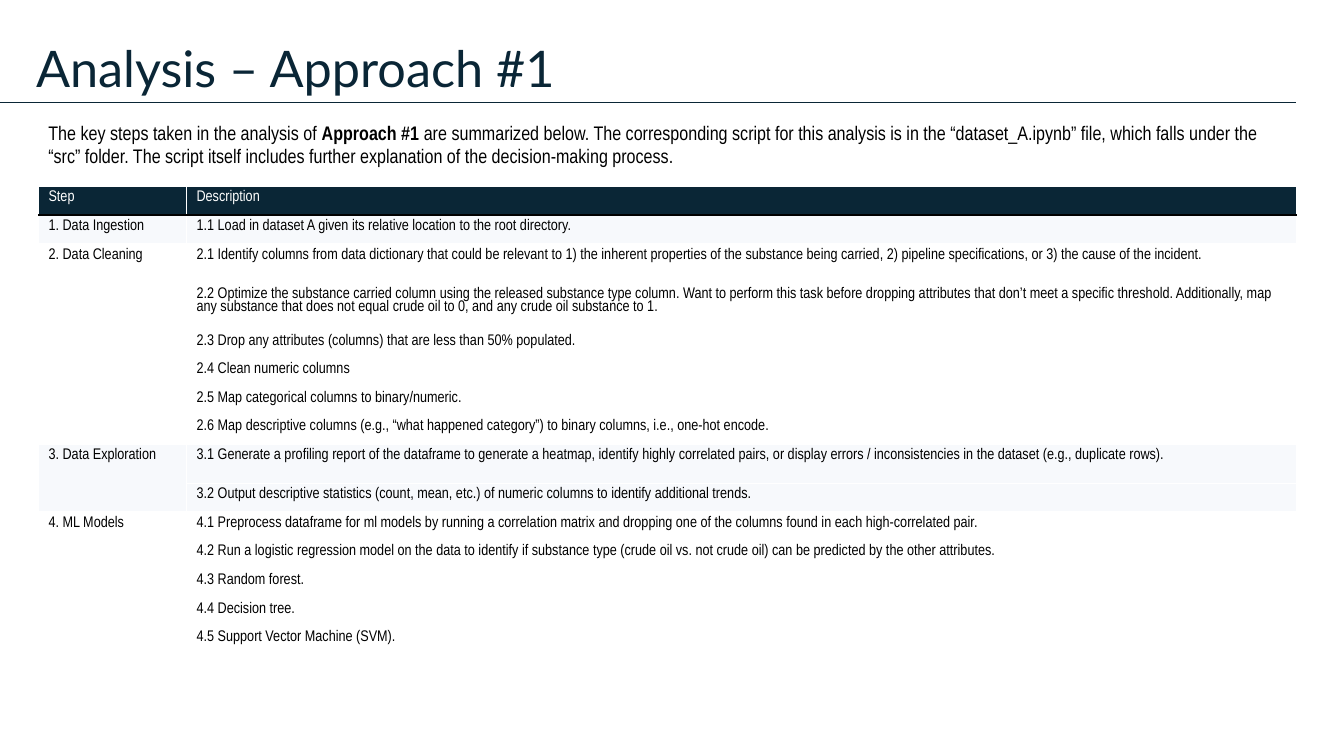
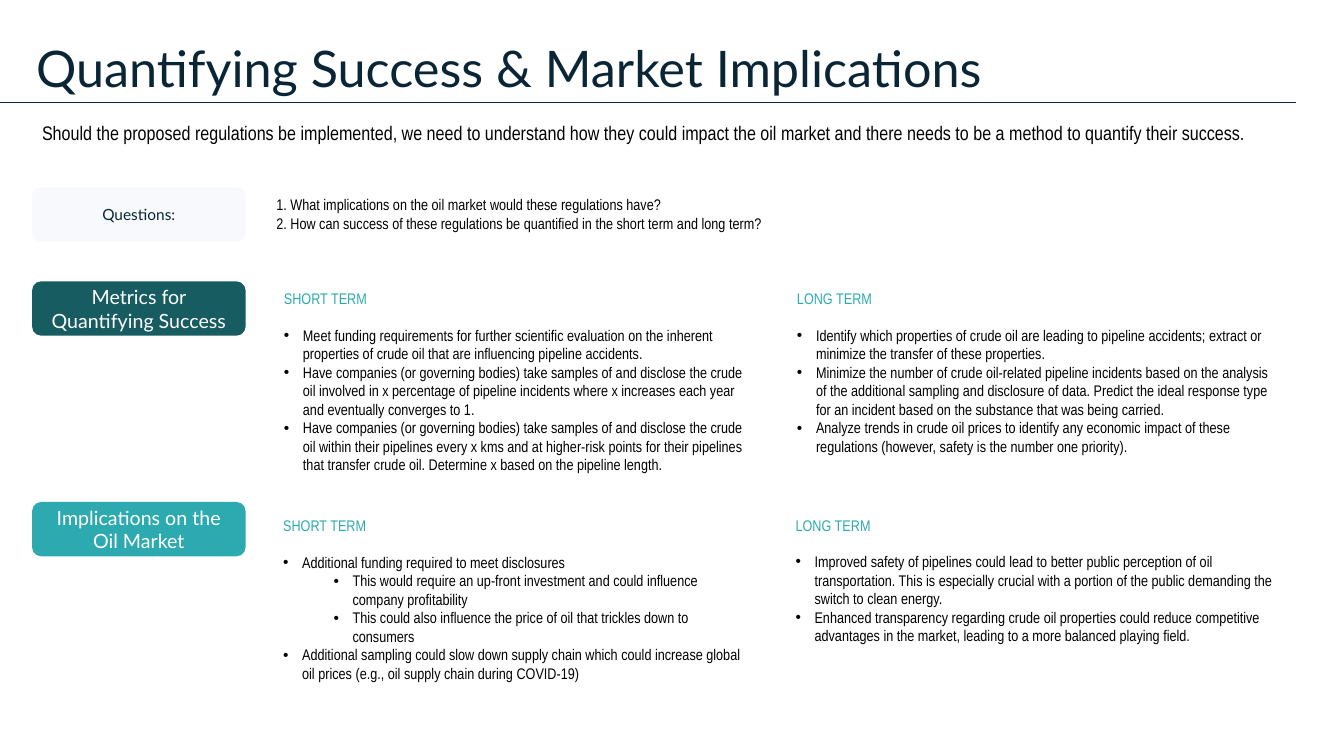
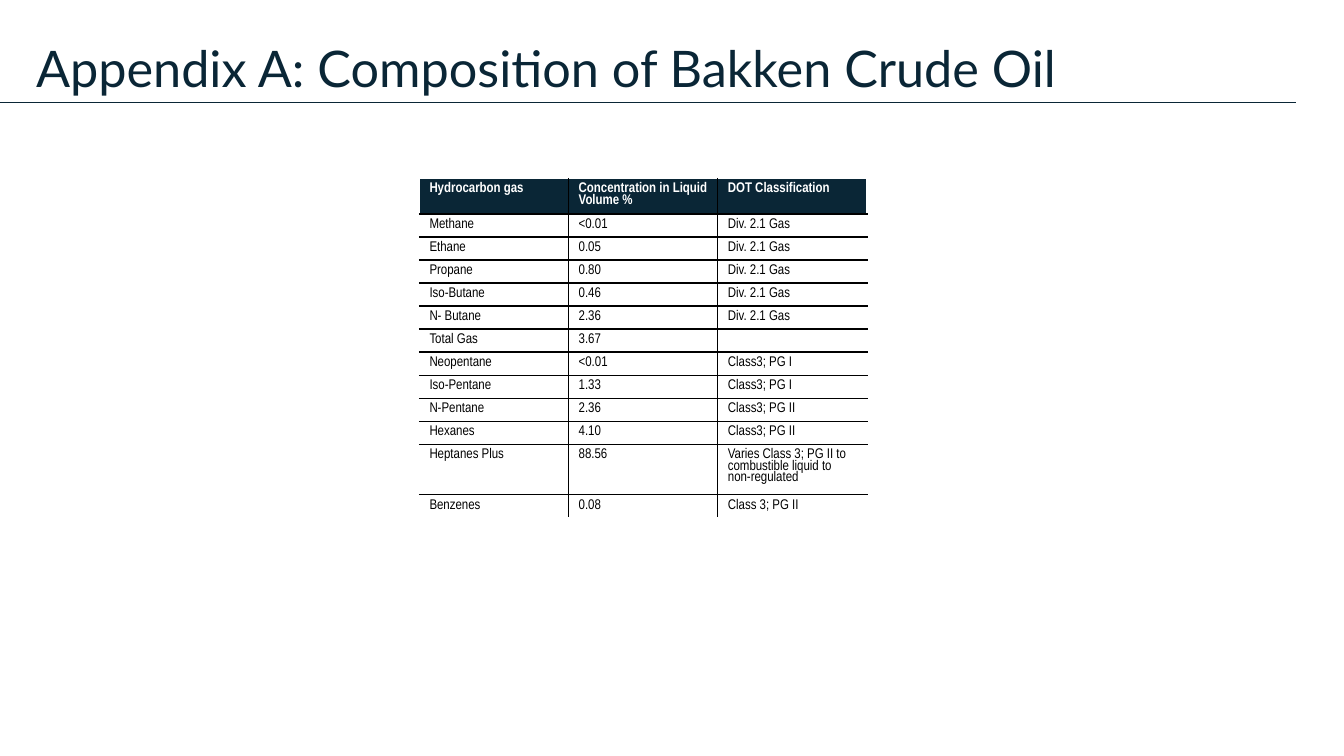
"""Build three slides on crude oil pipeline analysis."""
from dataclasses import dataclass

from lxml.etree import SubElement
from pptx import Presentation
from pptx.dml.color import RGBColor
from pptx.enum.shapes import MSO_CONNECTOR, MSO_SHAPE
from pptx.enum.text import MSO_ANCHOR, PP_ALIGN
from pptx.oxml.ns import qn
from pptx.slide import Slide
from pptx.table import Table, _Cell
from pptx.text.text import TextFrame, _Paragraph
from pptx.util import Cm, Pt

HUES = {
    "navy": "0A2636",
    "pine": "175C61",
    "teal": "2DAAAF",
    "mist": "F7F9FC",
    "black": "000000",
    "white": "FFFFFF",
}
LATO = "Lato"
BODY = "Arial Narrow"
SPACE = 0.9


@dataclass
class Style:
    """Look of a piece of text."""
    size: float = 11
    hue: str = "black"
    font: str = BODY
    bold: bool = False


@dataclass
class Para:
    """One paragraph; level 0 is plain, 1 and 2 are bullets."""
    text: str
    style: Style
    level: int = 0
    gap: float = 0


@dataclass
class Box:
    """Place and size in centimetres."""
    left: float
    top: float
    width: float
    height: float


@dataclass
class Tag:
    """Filled label at the left edge."""
    text: str
    top: float
    fill: str
    style: Style


@dataclass
class Panel:
    """Headed list of bullets."""
    head: str
    box: Box
    items: list[tuple[int, str]]


@dataclass
class Grid:
    """Table with a dark head row."""
    left: float
    top: float
    cols: list[float]
    tall: list[float]
    rows: list[tuple[str, ...]]
    size: float
    rule: str
    bold: bool = False
    shade: tuple[int, ...] = ()


PLAIN = Style()
INTRO = Style(14)
TITLE = Style(36, "navy", LATO)
LABEL = Style(14, "white", LATO)

STEPS = [
    ("Step", "Description"),
    ("1. Data Ingestion", "1.1 Load in dataset A given its relative location to the root directory."),
    ("2. Data Cleaning", "2.1 Identify columns from data dictionary that could be relevant to 1) the inherent "
     "properties of the substance being carried, 2) pipeline specifications, or 3) the cause of the incident."),
    ("", "2.2 Optimize the substance carried column using the released substance type column. Want to perform "
     "this task before dropping attributes that don’t meet a specific threshold. Additionally, map any substance "
     "that does not equal crude oil to 0, and any crude oil substance to 1."),
    ("", "2.3 Drop any attributes (columns) that are less than 50% populated."),
    ("", "2.4 Clean numeric columns"),
    ("", "2.5 Map categorical columns to binary/numeric."),
    ("", "2.6 Map descriptive columns (e.g., “what happened category”) to binary columns, i.e., one-hot encode."),
    ("3. Data Exploration", "3.1 Generate a profiling report of the dataframe to generate a heatmap, identify "
     "highly correlated pairs, or display errors / inconsistencies in the dataset (e.g., duplicate rows)."),
    ("", "3.2 Output descriptive statistics (count, mean, etc.) of numeric columns to identify additional trends."),
    ("4. ML Models", "4.1 Preprocess dataframe for ml models by running a correlation matrix and dropping one of "
     "the columns found in each high-correlated pair."),
    ("", "4.2 Run a logistic regression model on the data to identify if substance type (crude oil vs. not crude "
     "oil) can be predicted by the other attributes."),
    ("", "4.3 Random forest."),
    ("", "4.4 Decision tree."),
    ("", "4.5 Support Vector Machine (SVM)."),
]

GASES = [
    ("Hydrocarbon gas", "Concentration in Liquid Volume %", "DOT Classification"),
    ("Methane", "<0.01", "Div. 2.1 Gas"),
    ("Ethane", "0.05", "Div. 2.1 Gas"),
    ("Propane", "0.80", "Div. 2.1 Gas"),
    ("Iso-Butane", "0.46", "Div. 2.1 Gas"),
    ("N- Butane", "2.36", "Div. 2.1 Gas"),
    ("Total Gas", "3.67", ""),
    ("Neopentane", "<0.01", "Class3; PG I"),
    ("Iso-Pentane", "1.33", "Class3; PG I"),
    ("N-Pentane", "2.36", "Class3; PG II"),
    ("Hexanes", "4.10", "Class3; PG II"),
    ("Heptanes Plus", "88.56", "Varies Class 3; PG II to combustible liquid to non-regulated"),
    ("Benzenes", "0.08", "Class 3; PG II"),
]

TAGS = [
    Tag("Questions:", 4.72, "mist", Style(11, "navy", LATO)),
    Tag("Metrics for Quantifying Success", 7.09, "pine", LABEL),
    Tag("Implications on the Oil Market", 12.65, "teal", LABEL),
]

PANELS = [
    Panel("SHORT TERM", Box(6.65, 6.91, 12.8, 5.26), [
        (1, "Meet funding requirements for further scientific evaluation on the inherent properties of crude oil "
            "that are influencing pipeline accidents."),
        (1, "Have companies (or governing bodies) take samples of and disclose the crude oil involved in x "
            "percentage of pipeline incidents where x increases each year and eventually converges to 1."),
        (1, "Have companies (or governing bodies) take samples of and disclose the crude oil within their "
            "pipelines every x kms and at higher-risk points for their pipelines that transfer crude oil. "
            "Determine x based on the pipeline length."),
    ]),
    Panel("LONG TERM", Box(19.58, 6.91, 13.03, 5.26), [
        (1, "Identify which properties of crude oil are leading to pipeline accidents; extract or minimize the "
            "transfer of these properties."),
        (1, "Minimize the number of crude oil-related pipeline incidents based on the analysis of the additional "
            "sampling and disclosure of data. Predict the ideal response type for an incident based on the "
            "substance that was being carried."),
        (1, "Analyze trends in crude oil prices to identify any economic impact of these regulations (however, "
            "safety is the number one priority)."),
    ]),
    Panel("SHORT TERM", Box(6.65, 12.65, 12.8, 4.85), [
        (1, "Additional funding required to meet disclosures"),
        (2, "This would require an up-front investment and could influence company profitability"),
        (2, "This could also influence the price of oil that trickles down to consumers"),
        (1, "Additional sampling could slow down supply chain which could increase global oil prices (e.g., oil "
            "supply chain during COVID-19)"),
    ]),
    Panel("LONG TERM", Box(19.58, 12.65, 13.03, 4.5), [
        (1, "Improved safety of pipelines could lead to better public perception of oil transportation. This is "
            "especially crucial with a portion of the public demanding the switch to clean energy."),
        (1, "Enhanced transparency regarding crude oil properties could reduce competitive advantages in the "
            "market, leading to a more balanced playing field."),
    ]),
]


def tint(name: str) -> RGBColor:
    """Look up a colour."""
    return RGBColor.from_string(HUES[name])


def dress(para: _Paragraph, style: Style) -> None:
    """Format every run of a paragraph."""
    for run in para.runs:
        run.font.size = Pt(style.size)
        run.font.name = style.font
        run.font.bold = style.bold
        run.font.color.rgb = tint(style.hue)


def write(frame: TextFrame, paras: list[Para], align: PP_ALIGN = PP_ALIGN.LEFT) -> None:
    """Fill a text frame with paragraphs."""
    frame.word_wrap = True
    for num, item in enumerate(paras):
        para = frame.add_paragraph() if num else frame.paragraphs[0]
        para.text = item.text
        para.alignment = align
        if item.gap:
            para.space_before = Pt(item.gap)
        if item.level:
            para.level = item.level - 1
            props = para._p.get_or_add_pPr()
            props.set("marL", str(Cm(0.48 + 1.27 * para.level)))
            props.set("indent", str(-Cm(0.48)))
            SubElement(props, qn("a:buFont"), typeface="Arial")
            SubElement(props, qn("a:buChar"), char="•")
        dress(para, item.style)


def label(slide: Slide, box: Box, para: Para, anchor: MSO_ANCHOR = MSO_ANCHOR.TOP) -> TextFrame:
    """Add a text box."""
    shape = slide.shapes.add_textbox(Cm(box.left), Cm(box.top), Cm(box.width), Cm(box.height))
    frame = shape.text_frame
    frame.vertical_anchor = anchor
    write(frame, [para])
    return frame


def card(slide: Slide, box: Box, paras: list[Para], fill: str = "",
         anchor: MSO_ANCHOR = MSO_ANCHOR.MIDDLE, align: PP_ALIGN = PP_ALIGN.LEFT) -> None:
    """Add a rounded box with text."""
    shape = slide.shapes.add_shape(MSO_SHAPE.ROUNDED_RECTANGLE, Cm(box.left), Cm(box.top),
                                   Cm(box.width), Cm(box.height))
    shape.shadow.inherit = False
    shape.line.fill.background()
    if fill:
        shape.fill.solid()
        shape.fill.fore_color.rgb = tint(fill)
    else:
        shape.fill.background()
    shape.text_frame.vertical_anchor = anchor
    write(shape.text_frame, paras, align)


def edge(cell: _Cell, hues: list[str]) -> None:
    """Draw left, right, top and bottom cell borders."""
    props = cell._tc.get_or_add_tcPr()
    for spot, (side, hue) in enumerate(zip("LRTB", hues)):
        line = SubElement(props, qn(f"a:ln{side}"), w=str(Pt(1)))
        solid = SubElement(line, qn("a:solidFill"))
        SubElement(solid, qn("a:srgbClr"), val=HUES[hue])
        props.insert(spot, line)


def fill_cell(cell: _Cell, text: str, style: Style, fill: str) -> None:
    """Set the text and fill of a cell."""
    if fill:
        cell.fill.solid()
        cell.fill.fore_color.rgb = tint(fill)
    else:
        cell.fill.background()
    cell.margin_bottom = Cm(0)
    para = cell.text_frame.paragraphs[0]
    para.line_spacing = SPACE
    if text:
        para.text = text
        dress(para, style)
    else:
        SubElement(para._p, qn("a:endParaRPr"), sz=str(int(style.size * 100)))


def draw_grid(slide: Slide, grid: Grid) -> Table:
    """Add a table and return it."""
    deep, wide = len(grid.rows), len(grid.cols)
    table = slide.shapes.add_table(deep, wide, Cm(grid.left), Cm(grid.top),
                                   Cm(sum(grid.cols)), Cm(sum(grid.tall))).table
    table.first_row = table.horz_banding = False
    for col, width in zip(table.columns, grid.cols):
        col.width = Cm(width)
    for row, height in zip(table.rows, grid.tall):
        row.height = Cm(height)
    across = ["white", "black"] + [grid.rule] * (deep - 2) + ["white"]
    down = ["white"] + [grid.rule] * (wide - 1) + ["white"]
    for y, texts in enumerate(grid.rows):
        head = y == 0
        style = Style(grid.size, "white" if head else "black", bold=head and grid.bold)
        fill = "navy" if head else "mist" if y in grid.shade else ""
        for x, text in enumerate(texts):
            cell = table.cell(y, x)
            fill_cell(cell, text, style, fill)
            edge(cell, [down[x], down[x + 1], across[y], across[y + 1]])
    return table


def page(deck, title: str) -> Slide:
    """Add a slide with its title and rule."""
    slide = deck.slides.add_slide(deck.slide_layouts[6])
    label(slide, Box(0.66, 0.84, 32, 1.73), Para(title, TITLE), MSO_ANCHOR.MIDDLE)
    rule = slide.shapes.add_connector(MSO_CONNECTOR.STRAIGHT, Cm(-0.23), Cm(2.57), Cm(32.66), Cm(2.57))
    rule.line.color.rgb = tint("navy")
    rule.line.width = Pt(0.5)
    SubElement(rule._element.spPr, qn("a:effectLst"))
    return slide


def steps(deck) -> None:
    """Build the analysis slide."""
    slide = page(deck, "Analysis – Approach #1")
    frame = label(slide, Box(0.97, 2.92, 31.7, 1.45),
                  Para("The key steps taken in the analysis of ", INTRO))
    para = frame.paragraphs[0]
    for text in ("Approach #1 ", "are summarized below. The corresponding script for this analysis is in the "
                 "“dataset_A.ipynb” file, which falls under the “src” folder. The script itself includes "
                 "further explanation of the decision-making process."):
        para.add_run().text = text
    dress(para, INTRO)
    para.runs[1].font.bold = True
    tall = [0.72] * len(STEPS)
    tall[2] = tall[8] = 0.99
    tall[3] = 1.18
    table = draw_grid(slide, Grid(0.97, 4.7, [3.73, 27.97], tall, STEPS, 11, "white", shade=(1, 8, 9)))
    table.cell(8, 0).merge(table.cell(9, 0))


def market(deck) -> None:
    """Build the success and market slide."""
    slide = page(deck, "Quantifying Success & Market Implications")
    label(slide, Box(0.81, 2.92, 32.46, 1.45), Para(
        "Should the proposed regulations be implemented, we need to understand how they could impact the oil "
        "market and there needs to be a method to quantify their success.", INTRO))
    card(slide, Box(6.65, 4.7, 25.86, 1.37), [
        Para("1. What implications on the oil market would these regulations have?", PLAIN),
        Para("2. How can success of these regulations be quantified in the short term and long term?", PLAIN),
    ])
    for tag in TAGS:
        card(slide, Box(0.81, tag.top, 5.38, 1.37), [Para(tag.text, tag.style)], tag.fill,
             align=PP_ALIGN.CENTER)
    for panel in PANELS:
        paras = [Para(panel.head, Style(hue="teal"))]
        paras += [Para(text, PLAIN, level, 0 if num else 13)
                  for num, (level, text) in enumerate(panel.items)]
        card(slide, panel.box, paras, anchor=MSO_ANCHOR.TOP)


def gases(deck) -> None:
    """Build the appendix slide."""
    slide = page(deck, "Appendix A: Composition of Bakken Crude Oil")
    tall = [0.58] * len(GASES)
    tall[0], tall[11] = 0.88, 1.24
    draw_grid(slide, Grid(10.57, 4.5, [3.76] * 3, tall, GASES, 10, "black", bold=True))


def main() -> None:
    """Build and save the deck."""
    deck = Presentation()
    deck.slide_width, deck.slide_height = Cm(33.87), Cm(19.05)
    for build in (steps, market, gases):
        build(deck)
    deck.save("out.pptx")


if __name__ == "__main__":
    main()
